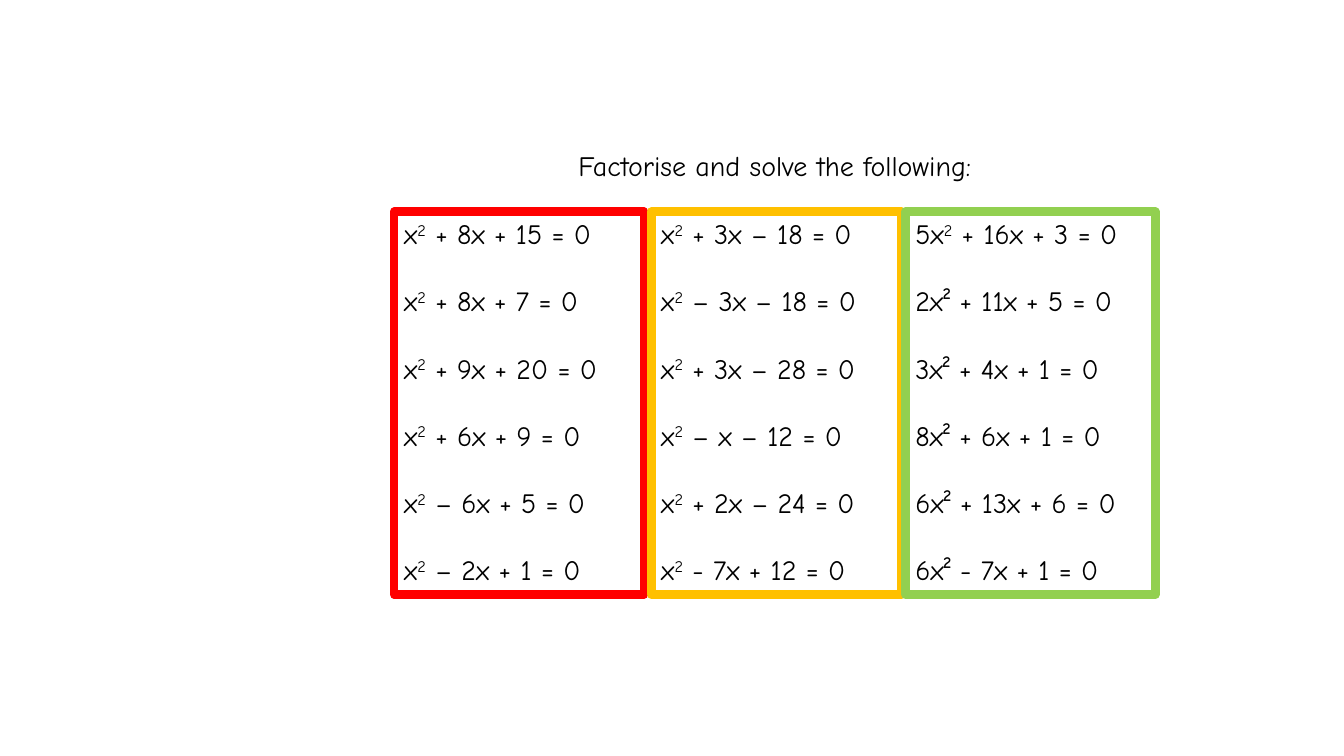
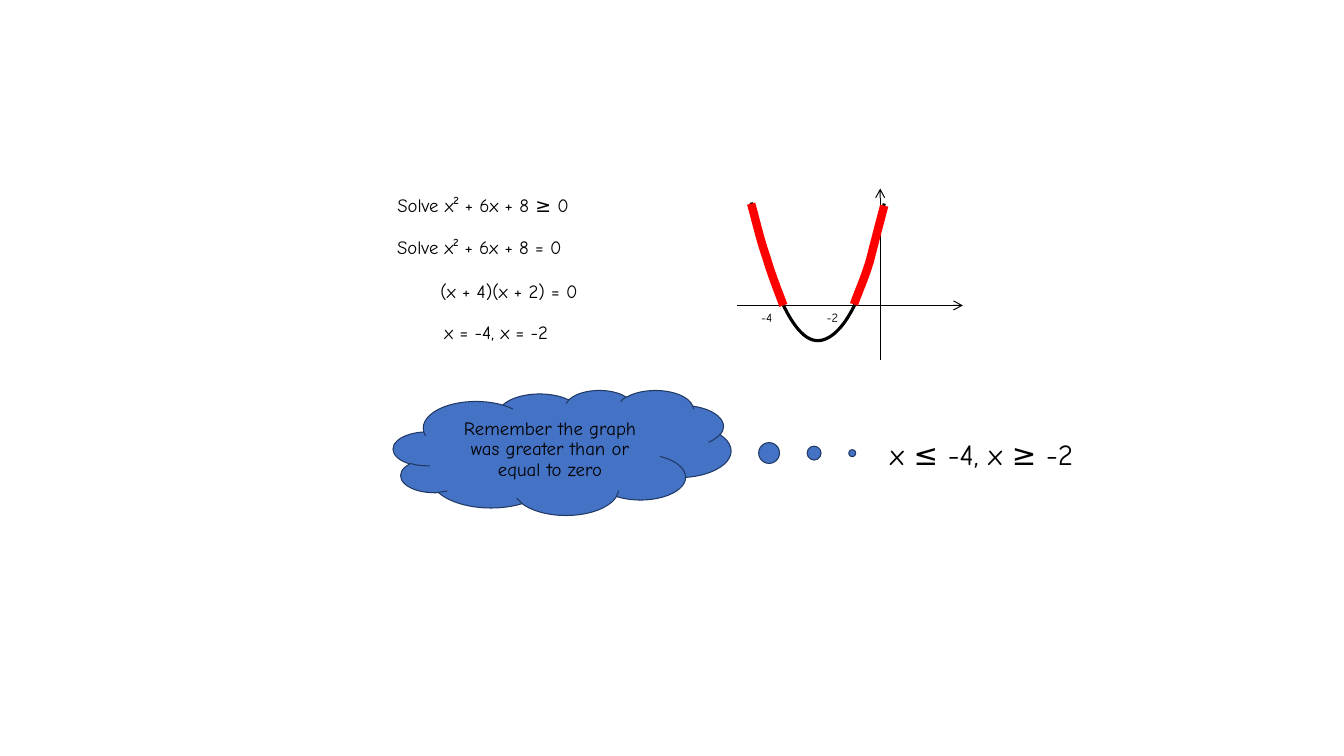
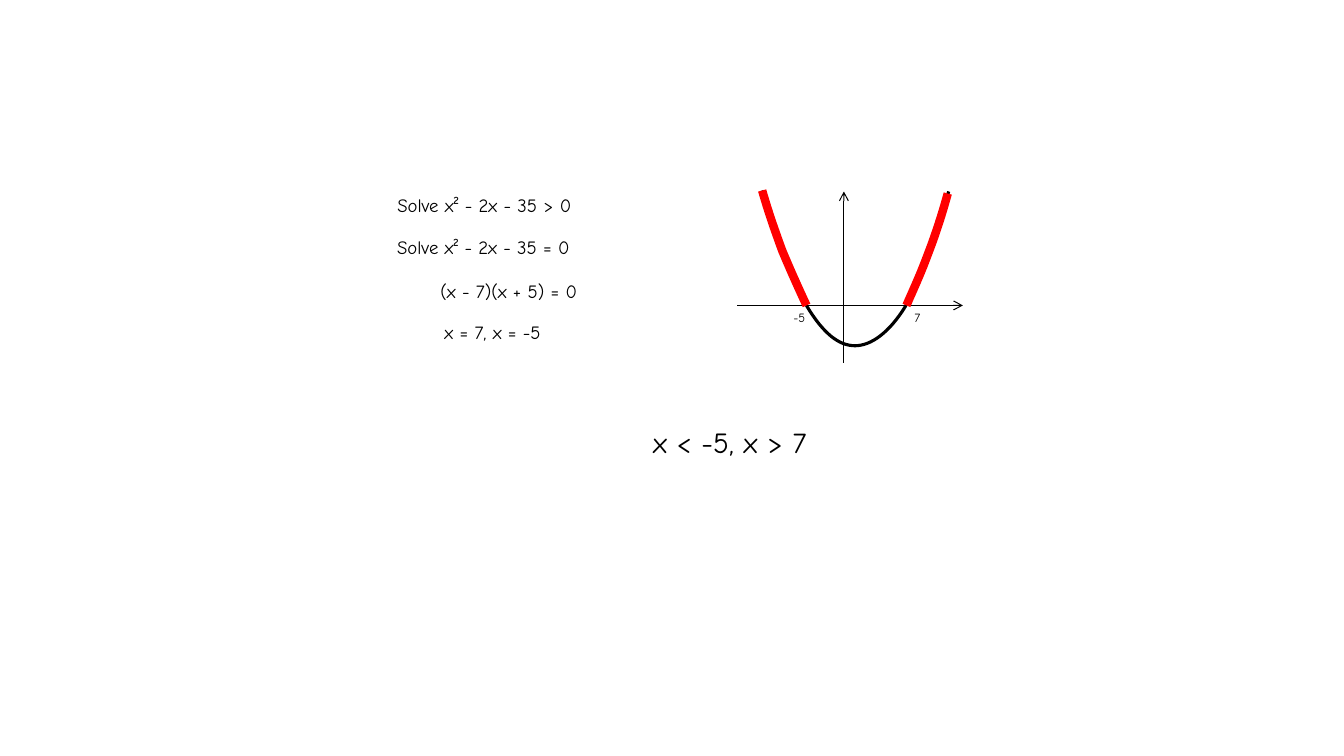
from lxml import etree
from pptx import Presentation
from pptx.dml.color import RGBColor
from pptx.enum.shapes import MSO_CONNECTOR, MSO_SHAPE
from pptx.enum.text import MSO_ANCHOR, MSO_AUTO_SIZE, PP_ALIGN
from pptx.oxml.ns import qn
from pptx.util import Emu, Pt

EMU_PER_PX = 9144
FONT = "Comic Neue"
BLACK, RED, AMBER, GREEN = "000000", "FF0000", "FFC000", "92D050"
BLUE, NAVY = "4472C4", "203864"
LEFT, CENTER = PP_ALIGN.LEFT, PP_ALIGN.CENTER
TOP, MIDDLE = MSO_ANCHOR.TOP, MSO_ANCHOR.MIDDLE
NO_FIT = MSO_AUTO_SIZE.NONE
CLOUD = MSO_SHAPE.CLOUD_CALLOUT
STRAIGHT = MSO_CONNECTOR.STRAIGHT
TITLE_ONLY = 5
CURVE_STEPS = 16
HEADING_SIZE, WORKING_SIZE, LABEL_SIZE, ANSWER_SIZE = 20, 13.4, 9, 20.9

AXIS_Y = 303
LABEL_TOP = 302
WORKING_PLACES = [(384, 229), (427, 273), (431, 313)]

COLUMNS = [
    (391, RED, ["x^2 + 8x + 15 = 0", "x^2 + 8x + 7 = 0", "x^2 + 9x + 20 = 0",
                "x^2 + 6x + 9 = 0", "x^2 – 6x + 5 = 0", "x^2 – 2x + 1 = 0"]),
    (646, AMBER, ["x^2 + 3x – 18 = 0", "x^2 – 3x – 18 = 0", "x^2 + 3x – 28 = 0",
                  "x^2 – x – 12 = 0", "x^2 + 2x – 24 = 0", "x^2 - 7x + 12 = 0"]),
    (898, GREEN, ["5x^2 + 16x + 3 = 0", "2x² + 11x + 5 = 0", "3x² + 4x + 1 = 0",
                  "8x² + 6x + 1 = 0", "6x² + 13x + 6 = 0", "6x² - 7x + 1 = 0"]),
]

AT_LEAST_ZERO = {
    "title": "Solve x² + 6x + 8 ≥ 0",
    "working": ["Solve x² + 6x + 8 = 0", "(x + 4)(x + 2) = 0", "x = -4, x = -2"],
    "y_axis": (873, 357, 187),
    "roots": [("-4", 745), ("-2", 810)],
    "answer": ("x ≤ -4, x ≥ -2", (873, 428, 253, 45)),
    "parabola": [(745, 201), (756, 241), (767, 282), (778, 305), (789, 327),
                 (800, 338), (811, 338), (823, 338), (836, 326), (847, 304),
                 (858, 281), (877, 202), (877, 202)],
    "solutions": [
        [(847, 302), (852, 288), (858, 275), (863, 258), (867, 242), (872, 223), (877, 204)],
        [(777, 303), (771, 287), (765, 272), (760, 255), (754, 238), (750, 220), (745, 202)],
    ],
}

ABOVE_ZERO = {
    "title": "Solve x² - 2x - 35 > 0",
    "working": ["Solve x² - 2x - 35 = 0", "(x - 7)(x + 5) = 0", "x = 7, x = -5"],
    "y_axis": (837, 360, 190),
    "roots": [("-5", 777), ("7", 897)],
    "answer": ("x < -5, x > 7", (638, 416, 253, 45)),
    "parabola": [(756, 189), (771, 234), (786, 280), (801, 305), (817, 331),
                 (832, 343), (848, 343), (864, 343), (882, 330), (898, 304),
                 (913, 279), (941, 190), (941, 190)],
    "solutions": [
        [(899, 303), (906, 287), (913, 272), (920, 253), (927, 235), (934, 214), (940, 192)],
        [(800, 303), (792, 286), (784, 268), (776, 249), (769, 230), (762, 210), (756, 189)],
    ],
}


def px(value):
    return Emu(round(value * EMU_PER_PX))


def color(value):
    return RGBColor.from_string(value)


def apply(target, values):
    for name, value in values.items():
        setattr(target, name, value)


def draw_line(shape, line_color, width):
    shape.line.color.rgb = color(line_color)
    shape.line.width = Pt(width)


def write(para, text, size):
    for index, part in enumerate(text.split("^2")):
        pieces = [(part, False)] if index == 0 else [("2", True), (part, False)]
        for piece, raised in pieces:
            span = para.add_run()
            span.text = piece
            apply(span.font, {"name": FONT, "size": Pt(size)})
            span.font.color.rgb = color(BLACK)
            if raised:
                span.font._element.set("baseline", "30000")


def fill_text(box, lines, size, align=LEFT, anchor=TOP, gap=0, spacing=1.0):
    frame = box.text_frame
    apply(frame, {"word_wrap": True, "auto_size": NO_FIT, "vertical_anchor": anchor})
    for index, text in enumerate(lines):
        para = frame.add_paragraph() if index else frame.paragraphs[0]
        apply(para, {"alignment": align, "line_spacing": spacing,
                     "space_before": Pt(gap if index else 0)})
        write(para, text, size)


def add_text(page, place, lines, size, **options):
    box = page.shapes.add_textbox(*map(px, place))
    fill_text(box, lines, size, **options)
    return box


def add_page(deck, title, place, size, align=LEFT):
    page = deck.slides.add_slide(deck.slide_layouts[TITLE_ONLY])
    heading = page.shapes.title
    apply(heading, dict(zip(("left", "top", "width", "height"), map(px, place))))
    fill_text(heading, [title], size, align)
    return page


def add_axis(page, start, end):
    axis = page.shapes.add_connector(STRAIGHT, *map(px, start + end))
    draw_line(axis, BLACK, 0.75)
    etree.SubElement(axis.line._get_or_add_ln(), qn("a:tailEnd"), type="arrow")
    etree.SubElement(axis._element.spPr, qn("a:effectLst"))


def curve_points(knots):
    points = [knots[0]]
    for first in range(0, len(knots) - 1, 3):
        segment = knots[first:first + 4]
        for step in range(1, CURVE_STEPS + 1):
            t = step / CURVE_STEPS
            weights = ((1 - t) ** 3, 3 * t * (1 - t) ** 2, 3 * t * t * (1 - t), t ** 3)
            points.append(tuple(sum(w * knot[axis] for w, knot in zip(weights, segment))
                                for axis in (0, 1)))
    return [(px(x), px(y)) for x, y in points]


def add_curve(page, knots, line_color, width):
    points = curve_points(knots)
    builder = page.shapes.build_freeform(*points[0])
    builder.add_line_segments(points[1:], close=False)
    curve = builder.convert_to_shape()
    curve.shadow.inherit = False
    curve.fill.background()
    draw_line(curve, line_color, width)


def add_thought(page, place, text):
    cloud = page.shapes.add_shape(CLOUD, *map(px, place))
    cloud.shadow.inherit = False
    cloud.adjustments[0] = 0.859
    cloud.adjustments[1] = 0.005
    cloud.fill.solid()
    cloud.fill.fore_color.rgb = color(BLUE)
    draw_line(cloud, NAVY, 0.75)
    apply(cloud.text_frame, {"margin_left": px(7), "margin_right": px(7),
                             "margin_top": px(4), "margin_bottom": px(4)})
    fill_text(cloud, [text], WORKING_SIZE, align=CENTER, anchor=MIDDLE, spacing=0.93)


def add_exercises(deck):
    page = add_page(deck, "Factorise and solve the following:",
                    (391, 142, 755, 44), HEADING_SIZE, CENTER)
    for left, line_color, equations in COLUMNS:
        box = add_text(page, (left, 210, 248, 380), equations, HEADING_SIZE, gap=24)
        draw_line(box, line_color, 6)


def add_inequality(deck, example):
    page = add_page(deck, example["title"], (384, 187, 747, 33), WORKING_SIZE)
    for (left, top), text in zip(WORKING_PLACES, example["working"]):
        add_text(page, (left, top, 253, 33), [text], WORKING_SIZE)
    x, bottom, top = example["y_axis"]
    add_axis(page, (x, bottom), (x, top))
    add_axis(page, (731, AXIS_Y), (955, AXIS_Y))
    add_curve(page, example["parabola"], BLACK, 2.25)
    for text, left in example["roots"]:
        add_text(page, (left, LABEL_TOP, 33, 25), [text], LABEL_SIZE)
    for knots in example["solutions"]:
        add_curve(page, knots, RED, 6)
    answer, place = example["answer"]
    add_text(page, place, [answer], ANSWER_SIZE)
    return page


def main():
    deck = Presentation()
    apply(deck, {"slide_width": px(1333), "slide_height": px(750)})
    add_exercises(deck)
    page = add_inequality(deck, AT_LEAST_ZERO)
    add_thought(page, (390, 387, 335, 124),
                "Remember the graph was greater than or equal to zero")
    add_inequality(deck, ABOVE_ZERO)
    deck.save("out.pptx")


if __name__ == "__main__":
    main()
